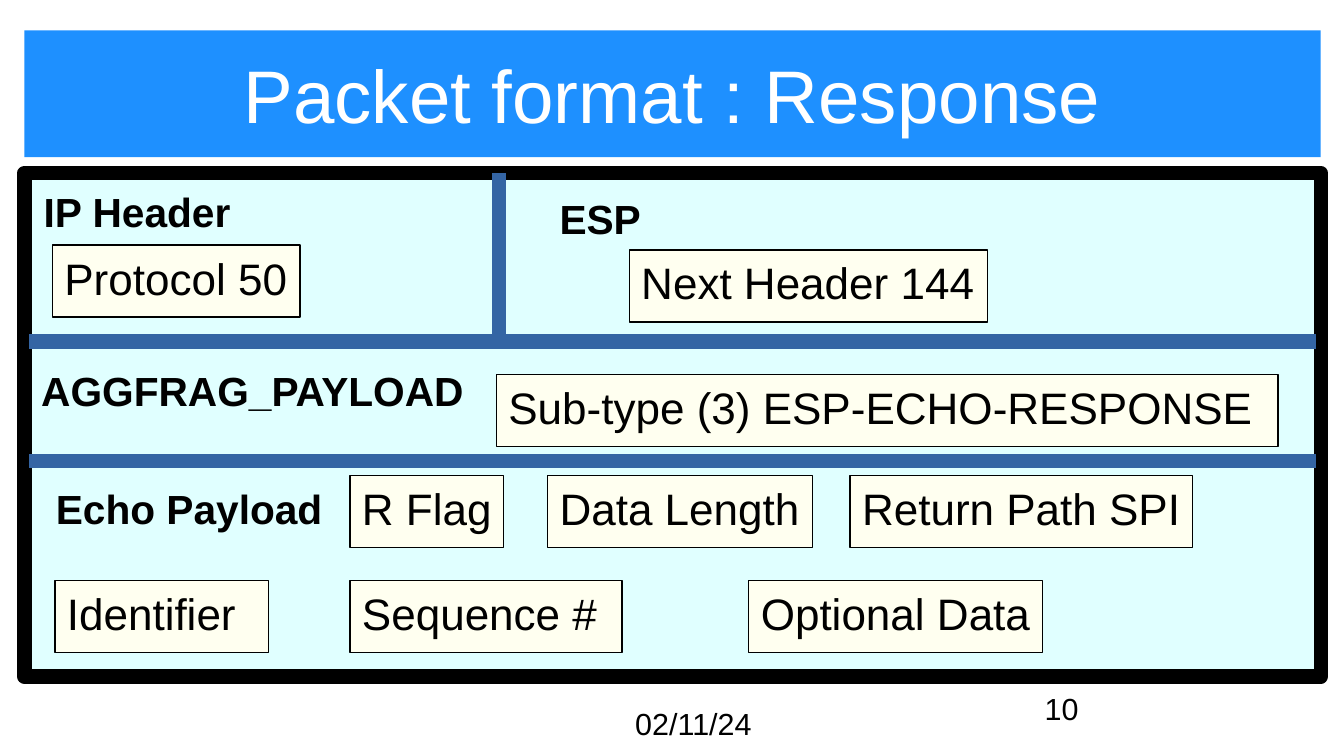
from lxml.etree import SubElement
from pptx import Presentation
from pptx.dml.color import RGBColor
from pptx.enum.shapes import MSO_CONNECTOR, MSO_SHAPE
from pptx.enum.text import MSO_ANCHOR, PP_ALIGN
from pptx.oxml.ns import qn
from pptx.util import Inches, Pt

COLORS = {
    "title": "1E90FF", "packet": "E0FFFF", "field": "FFFFF0",
    "divider": "3465A4", "text": "000000", "title_text": "FFFFFF",
}
FONT = "Arial"
BORDER = 8.5
FIELD_HEIGHT = 0.59
LABEL_HEIGHT = 0.47
PACKET_BOX = (0.2, 1.42, 10.63, 4.13)
DIVIDER_INSET = 0.04
ESP_LEFT = 3.89
AGGFRAG_TOP, ECHO_TOP = 1.38, 2.36
ECHO_ROWS = (0.12, 0.98)

SECTIONS = [
    (0, 0, ("IP Header", 0.06, 0.06, 2.5), [("Protocol 50", 0.23, 0.59, 2.03)]),
    (ESP_LEFT, 0, ("ESP", 0.4, 0.12, 1.57), [("Next Header 144", 1.07, 0.63, 2.94)]),
    (0, AGGFRAG_TOP, ("AGGFRAG_PAYLOAD", 0.04, 0.15, 3.94),
     [("Sub-type (3) ESP-ECHO-RESPONSE", 3.87, 0.27, 6.41)]),
    (0, ECHO_TOP, ("Echo Payload", 0.16, 0.14, 2.43), [
        ("R Flag", 2.67, ECHO_ROWS[0], 1.26),
        ("Data Length", 4.29, ECHO_ROWS[0], 2.17),
        ("Return Path SPI", 6.77, ECHO_ROWS[0], 2.81),
        ("Identifier", 0.25, ECHO_ROWS[1], 1.75),
        ("Sequence #", 2.67, ECHO_ROWS[1], 2.23),
        ("Optional Data", 5.94, ECHO_ROWS[1], 2.41),
    ]),
]


def rgb(name):
    """Return the named palette colour."""
    return RGBColor.from_string(COLORS[name])


def write(holder, words, size, color="text", bold=False, align=PP_ALIGN.LEFT,
          anchor=MSO_ANCHOR.TOP):
    """Put one styled line of text into a shape or text box."""
    frame = holder.text_frame
    frame.word_wrap = True
    frame.vertical_anchor = anchor
    frame.margin_left, frame.margin_right = Inches(0.1), 0
    if align == PP_ALIGN.CENTER:
        frame.margin_left = 0
    frame.margin_top = frame.margin_bottom = Inches(0.05)
    line = frame.paragraphs[0]
    line.text = words
    line.alignment = align
    line.font.name = FONT
    line.font.size = Pt(size)
    line.font.bold = bold
    line.font.color.rgb = rgb(color)


def add_panel(slide, box, fill, border=None):
    """Draw a filled rectangle, with a black border of the given width if any."""
    panel = slide.shapes.add_shape(MSO_SHAPE.RECTANGLE, *map(Inches, box))
    panel.shadow.inherit = False
    panel.fill.solid()
    panel.fill.fore_color.rgb = rgb(fill)
    if border is None:
        panel.line.fill.background()
    else:
        panel.line.color.rgb = rgb("text")
        panel.line.width = Pt(border)
    return panel


def add_label(slide, box, words, size, **style):
    """Place plain text in the given box."""
    write(slide.shapes.add_textbox(*map(Inches, box)), words, size, **style)


def add_divider(slide, start, end):
    """Draw a thick straight line between two points."""
    divider = slide.shapes.add_connector(
        MSO_CONNECTOR.STRAIGHT, *map(Inches, (*start, *end)))
    divider.line.color.rgb = rgb("divider")
    divider.line.width = Pt(BORDER)
    SubElement(divider._element.spPr, qn("a:effectLst"))


def add_title(slide, box):
    """Draw the title banner."""
    write(add_panel(slide, box, "title"), "Packet format : Response", 44,
          color="title_text", align=PP_ALIGN.CENTER, anchor=MSO_ANCHOR.MIDDLE)


def add_section(slide, left, top, heading, fields):
    """Place a section's heading and field boxes from its top left corner."""
    words, dx, dy, width = heading
    add_label(slide, (left + dx, top + dy, width, LABEL_HEIGHT), words, 24, bold=True)
    for words, dx, dy, width in fields:
        field = add_panel(slide, (left + dx, top + dy, width, FIELD_HEIGHT), "field", 0)
        write(field, words, 26)


def add_packet(slide, box):
    """Draw the packet frame, its dividers and its sections."""
    left, top, width, _ = box
    add_panel(slide, box, "packet", BORDER)
    add_divider(slide, (left + ESP_LEFT, top), (left + ESP_LEFT, top + AGGFRAG_TOP))
    for offset in (AGGFRAG_TOP, ECHO_TOP):
        add_divider(slide, (left + DIVIDER_INSET, top + offset),
                    (left + width - DIVIDER_INSET, top + offset))
    for dx, dy, heading, fields in SECTIONS:
        add_section(slide, left + dx, top + dy, heading, fields)


def add_footer(slide, box):
    """Place the date and the slide number."""
    left, top, width, height = box
    add_label(slide, (left, top + 0.12, 1.38, height), "02/11/24", 18)
    add_label(slide, (left + 1.5, top, width - 1.5, height), "10", 18,
              align=PP_ALIGN.CENTER)


def main():
    """Build and save the slide."""
    deck = Presentation()
    deck.slide_width, deck.slide_height = Inches(11.02), Inches(6.2)
    slide = deck.slides.add_slide(deck.slide_layouts[6])
    add_footer(slide, (5.11, 5.61, 5.69, LABEL_HEIGHT))
    add_title(slide, (0.2, 0.25, 10.63, 1.04))
    add_packet(slide, PACKET_BOX)
    deck.save("out.pptx")


if __name__ == "__main__":
    main()
